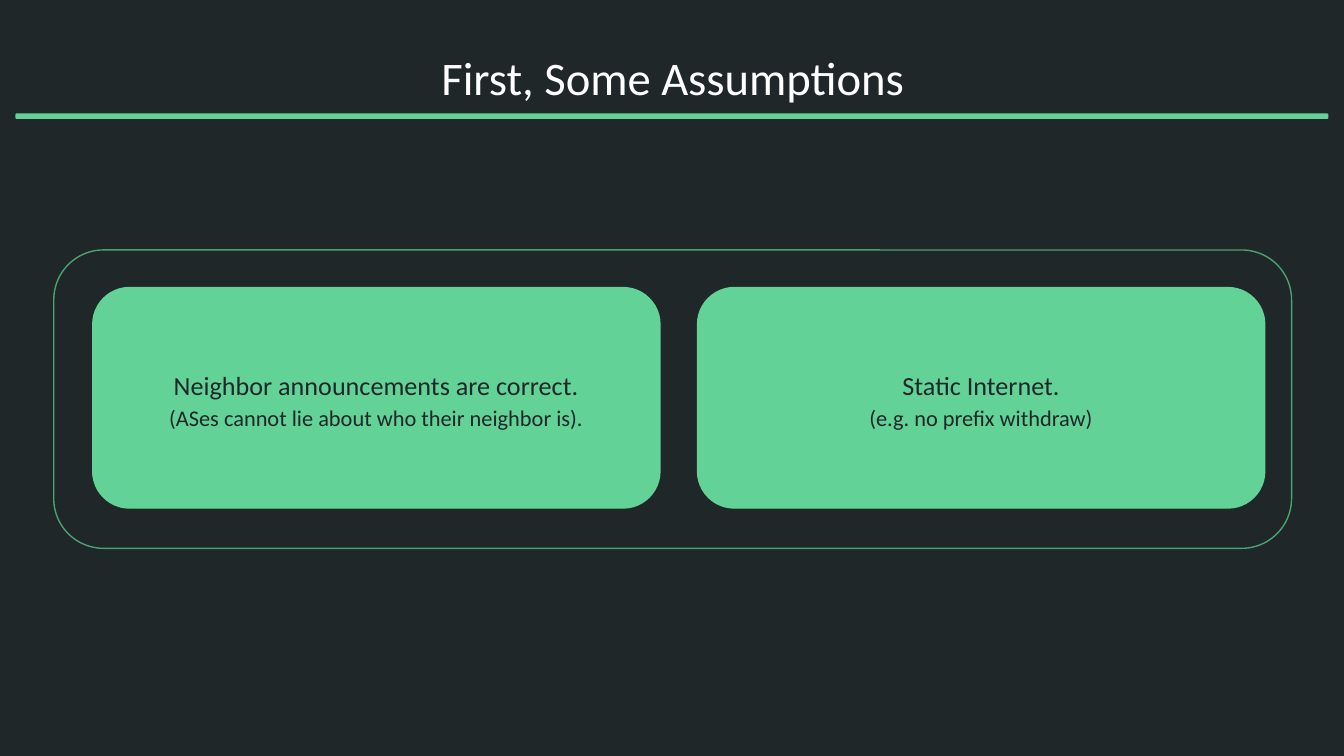
from dataclasses import dataclass

from lxml import etree
from pptx import Presentation
from pptx.dml.color import RGBColor
from pptx.enum.shapes import MSO_SHAPE
from pptx.enum.text import MSO_ANCHOR, PP_ALIGN
from pptx.oxml.ns import qn
from pptx.shapes.autoshape import Shape
from pptx.slide import Slide
from pptx.util import Inches, Pt

ROUNDED = MSO_SHAPE.ROUNDED_RECTANGLE
MIDDLE = MSO_ANCHOR.MIDDLE
CENTER = PP_ALIGN.CENTER

COLORS = {
    "background": "202729",
    "accent": "63D297",
    "outline": "4BA173",
    "title": "FFFFFF",
}
FONT = "Calibri"
CORNER = 0.167


@dataclass
class Panel:
    left: float
    top: float
    width: float
    height: float
    fill: str
    line: str
    line_width: float = 0.75


@dataclass
class Assumption:
    statement: str
    detail: str


def color(name: str) -> RGBColor:
    return RGBColor.from_string(COLORS[name])


def draw_panel(slide: Slide, panel: Panel) -> Shape:
    shape = slide.shapes.add_shape(
        ROUNDED, Inches(panel.left), Inches(panel.top),
        Inches(panel.width), Inches(panel.height),
    )
    shape.adjustments[0] = CORNER
    shape.shadow.inherit = False
    shape.fill.solid()
    shape.fill.fore_color.rgb = color(panel.fill)
    shape.line.color.rgb = color(panel.line)
    shape.line.width = Pt(panel.line_width)
    return shape


def write_text(shape: Shape, lines: list[str], sizes: list[float],
               color_name: str, line_spacing: float = 1.0) -> None:
    """Write centred lines in one paragraph, each with its own size."""
    text_frame = shape.text_frame
    text_frame.word_wrap = True
    text_frame.vertical_anchor = MIDDLE
    text_frame.margin_left = text_frame.margin_right = Inches(0.1)
    text_frame.margin_top = text_frame.margin_bottom = Inches(0.1)
    paragraph = text_frame.paragraphs[0]
    paragraph.text = "\v".join(lines)
    paragraph.alignment = CENTER
    paragraph.line_spacing = line_spacing
    for run, size in zip(paragraph.runs, sizes):
        run.font.name = FONT
        run.font.size = Pt(size)
        run.font.color.rgb = color(color_name)
    # A line break takes the size of the line it ends
    for line_break, size in zip(paragraph._p.findall(qn("a:br")), sizes):
        etree.SubElement(line_break, qn("a:rPr"), sz=str(int(size * 100)))


def main() -> None:
    # Widescreen 16:9 slide
    presentation = Presentation()
    presentation.slide_width = Inches(10)
    presentation.slide_height = Inches(10 * 9 / 16)
    slide = presentation.slides.add_slide(presentation.slide_layouts[6])
    slide.background.fill.solid()
    slide.background.fill.fore_color.rgb = color("background")

    # Title and the rule below it
    title = draw_panel(
        slide, Panel(0.1, 0.28, 9.81, 0.58, "background", "background", 1.5))
    write_text(title, ["First, Some Assumptions"], [25], "title")
    draw_panel(slide, Panel(0.12, 0.85, 9.76, 0.03, "accent", "accent"))

    # Frame around the assumptions
    draw_panel(slide, Panel(0.4, 1.86, 9.21, 2.22, "background", "outline"))

    # Assumption cards, side by side
    assumptions = [
        Assumption("Neighbor announcements are correct.",
                   "(ASes cannot lie about who their neighbor is)."),
        Assumption("Static Internet.", "(e.g. no prefix withdraw)"),
    ]
    card_width, card_gap = 4.22, 0.28
    for index, assumption in enumerate(assumptions):
        left = 0.69 + index * (card_width + card_gap)
        card = draw_panel(
            slide, Panel(left, 2.14, card_width, 1.64, "accent", "accent"))
        write_text(card, [assumption.statement, assumption.detail],
                   [14, 12], "background", 1.15)

    presentation.save("out.pptx")


if __name__ == "__main__":
    main()
